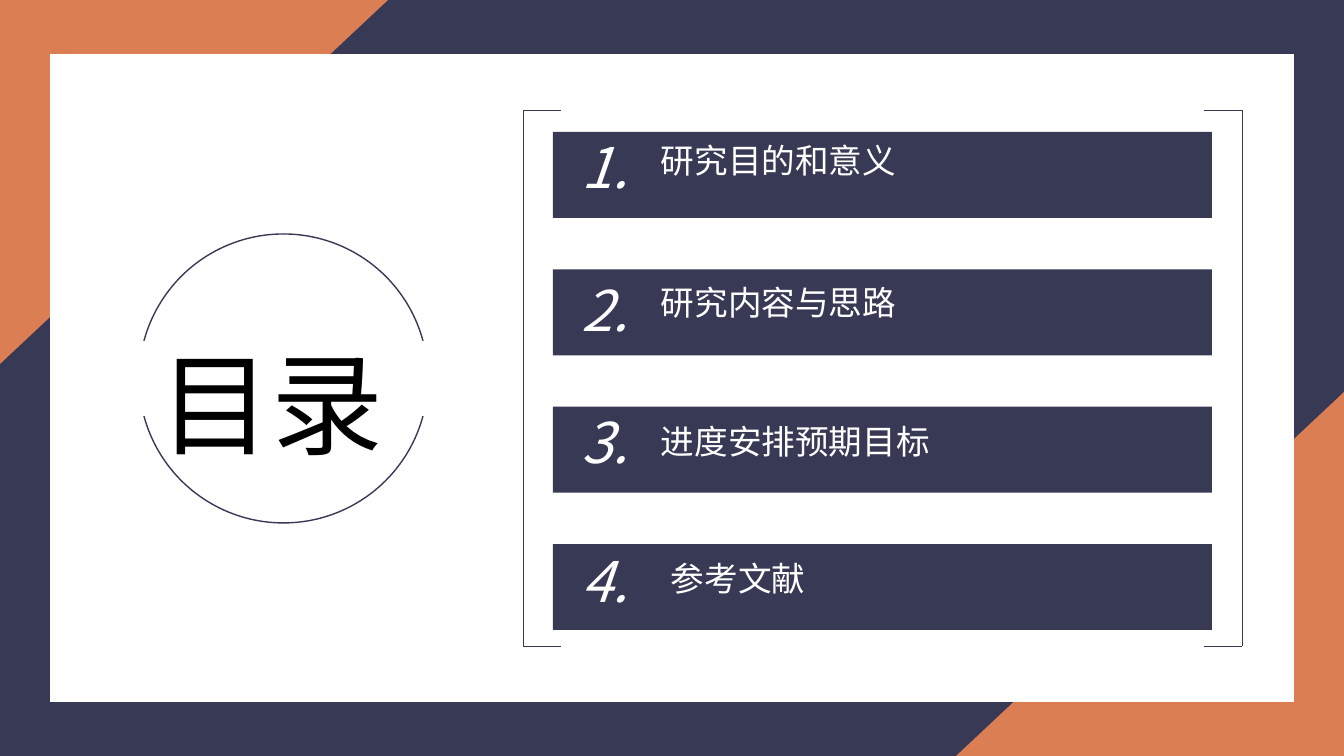
import lxml.etree
import pptx
import pptx.dml.color
import pptx.enum.shapes
import pptx.enum.text
import pptx.oxml.ns
import pptx.util

PX = 914400 / 100.8
FONT = "Noto Sans CJK SC"
COLORS = {"navy": "383A55", "orange": "DB7E54", "white": "FFFFFF", "black": "000000"}
SHAPE = pptx.enum.shapes.MSO_SHAPE
ALIGN = pptx.enum.text.PP_ALIGN


def emu(*lengths):
    """Turn lengths in px into EMU."""
    return [round(length * PX) for length in lengths]


def rgb(color):
    """Return the named colour."""
    return pptx.dml.color.RGBColor.from_string(COLORS[color])


def add_block(shapes, preset, box, fill=None, line=None):
    """Add a preset shape with an optional fill and outline."""
    block = shapes.add_shape(preset, *emu(*box))
    block.shadow.inherit = False
    if fill:
        block.fill.solid()
        block.fill.fore_color.rgb = rgb(fill)
    else:
        block.fill.background()
    if line:
        block.line.color.rgb = rgb(line)
        block.line.width = pptx.util.Pt(1)
    else:
        block.line.fill.background()
    return block


def write(holder, text, size, color, align, italic=None):
    """Write one run into a text frame that grows with its text."""
    frame = holder.text_frame
    frame.word_wrap = True
    frame.auto_size = pptx.enum.text.MSO_AUTO_SIZE.SHAPE_TO_FIT_TEXT
    frame.vertical_anchor = pptx.enum.text.MSO_ANCHOR.TOP
    paragraph = frame.paragraphs[0]
    paragraph.alignment = align
    run = paragraph.add_run()
    run.text = text
    run.font.size = pptx.util.Pt(size)
    run.font.italic = italic
    run.font.color.rgb = rgb(color)
    run.font.name = FONT
    east_asian = lxml.etree.SubElement(run._r.get_or_add_rPr(), pptx.oxml.ns.qn("a:ea"))
    east_asian.set("typeface", FONT)


def add_frame(slide, box):
    """Draw the navy backdrop, its two orange corners and the white panel."""
    left, top, width, height = box
    slide.background.fill.solid()
    slide.background.fill.fore_color.rgb = rgb("navy")
    corner_width, corner_height = 388, 364
    shift = (corner_width - corner_height) // 2
    for x, y, angle in ((left, top, 90),
                        (left + width - corner_width, top + height - corner_height, 270)):
        corner = add_block(slide.shapes, SHAPE.RIGHT_TRIANGLE,
                           (x + shift, y - shift, corner_height, corner_width), "orange")
        corner.rotation = angle
    add_block(slide.shapes, SHAPE.RECTANGLE,
              (left + 50, top + 54, width - 100, height - 108), "white")


def add_heading(slide, box):
    """Draw the ring with its gap and place the title over it."""
    left, top, diameter, _ = box
    ring = slide.shapes.add_group_shape()
    add_block(ring.shapes, SHAPE.OVAL, box, line="navy")
    add_block(ring.shapes, SHAPE.RECTANGLE, (left - 60, top + 107, diameter + 115, 75), "white")
    title = slide.shapes.title
    title.left, title.top, title.width, title.height = emu(left + 10, top + 95, 260, 146)
    write(title, "目录", 80, "black", ALIGN.LEFT)
    title.element.getparent().append(title.element)


def add_brackets(slide, box):
    """Draw the square brackets on both sides of the box."""
    left, top, width, height = box
    right, bottom = left + width, top + height
    brackets = slide.shapes.add_group_shape()
    for side, tip in ((left, left + 38), (right, right - 38)):
        for ends in ((side, top, tip, top), (side, top, side, bottom), (side, bottom, tip, bottom)):
            stroke = brackets.shapes.add_connector(
                pptx.enum.shapes.MSO_CONNECTOR.STRAIGHT, *emu(*ends))
            stroke.line.color.rgb = rgb("navy")
            stroke.line.width = pptx.util.Pt(0.5)
            properties = stroke.element.find(pptx.oxml.ns.qn("p:spPr"))
            lxml.etree.SubElement(properties, pptx.oxml.ns.qn("a:effectLst"))


def add_contents(slide, box):
    """Stack the numbered chapter bars evenly over the box."""
    left, top, width, height = box
    chapters = (("研究目的和意义", -4, 98, 3, 321),
                ("研究内容与思路", 1, 98, 8, 321),
                ("进度安排预期目标", -4, 98, 9, 321),
                ("参考文献", -2, 108, 9, 204))
    bar_height = 86
    pitch = (height - bar_height) / (len(chapters) - 1)
    for index, (chapter, number_dy, label_dx, label_dy, label_width) in enumerate(chapters):
        y = top + index * pitch
        add_block(slide.shapes, SHAPE.RECTANGLE, (left, y, width, bar_height), "navy")
        number = slide.shapes.add_textbox(*emu(left + 5, y + number_dy, 94, 78))
        write(number, f"{index + 1}.", 40, "white", ALIGN.CENTER, italic=True)
        label = slide.shapes.add_textbox(*emu(left + label_dx, y + label_dy, label_width, 50))
        write(label, chapter, 24, "white", ALIGN.JUSTIFY)


def main():
    """Build the contents slide and save it."""
    deck = pptx.Presentation()
    deck.slide_width, deck.slide_height = emu(1344, 756)
    slide = deck.slides.add_slide(deck.slide_layouts.get_by_name("Title Only"))
    add_frame(slide, (0, 0, 1344, 756))
    add_heading(slide, (139, 234, 289, 289))
    add_brackets(slide, (523, 110, 719, 536))
    add_contents(slide, (553, 132, 659, 498))
    deck.save("out.pptx")


if __name__ == "__main__":
    main()
